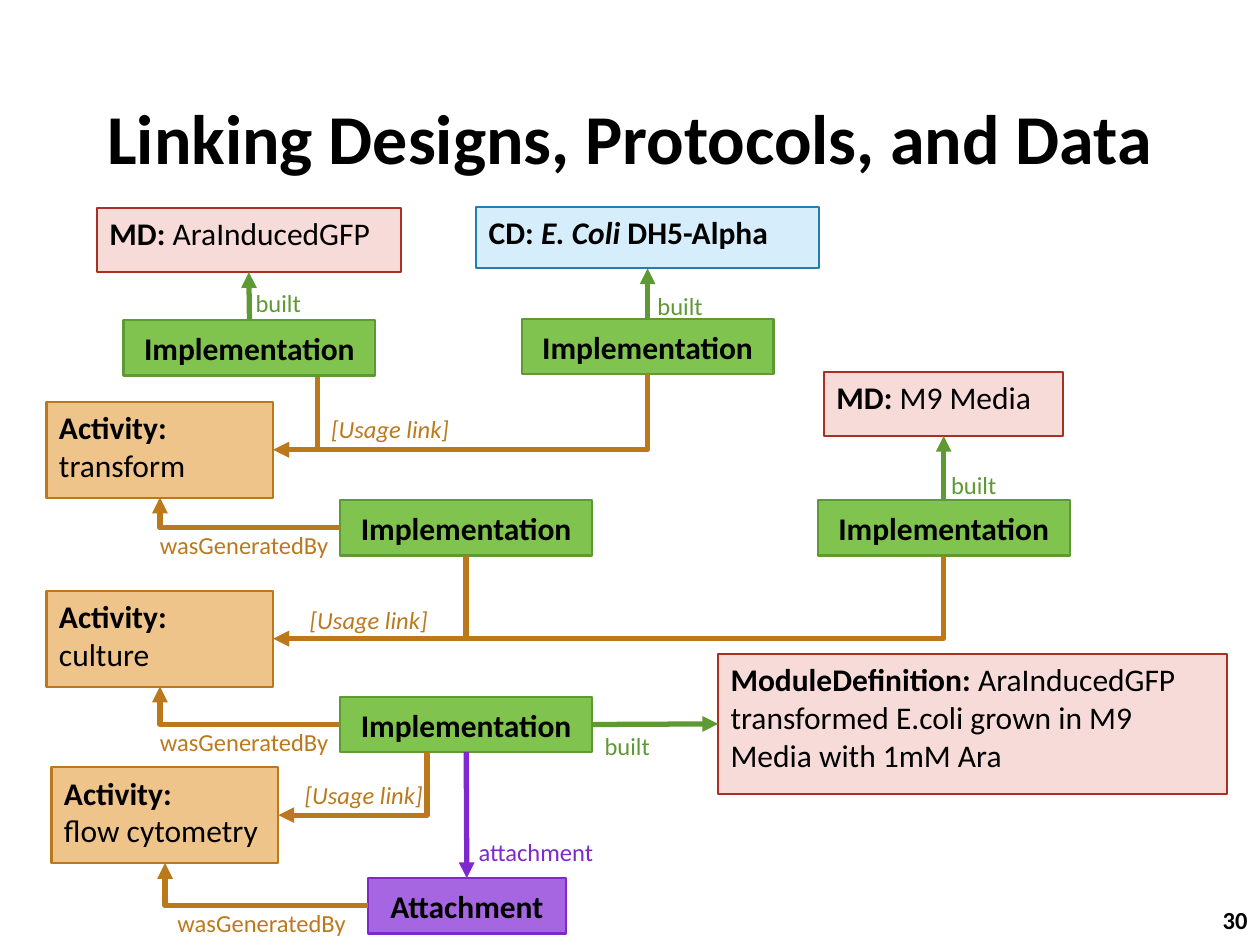
from dataclasses import dataclass

from lxml import etree
from pptx import Presentation
from pptx.dml.color import RGBColor
from pptx.enum.shapes import MSO_CONNECTOR, MSO_SHAPE
from pptx.enum.text import MSO_ANCHOR, PP_ALIGN
from pptx.oxml.ns import qn
from pptx.util import Inches, Pt

RECTANGLE = MSO_SHAPE.RECTANGLE
STRAIGHT, ELBOW = MSO_CONNECTOR.STRAIGHT, MSO_CONNECTOR.ELBOW
TOP_ANCHOR, MIDDLE = MSO_ANCHOR.TOP, MSO_ANCHOR.MIDDLE
LEFT_ALIGN, CENTER, RIGHT_ALIGN = PP_ALIGN.LEFT, PP_ALIGN.CENTER, PP_ALIGN.RIGHT
TOP, LEFT, BOTTOM, RIGHT = range(4)
SLIDE_WIDTH, SLIDE_HEIGHT = Inches(10), Inches(7.5)
COLUMNS = 100
CELL = SLIDE_WIDTH / COLUMNS


@dataclass(frozen=True)
class Theme:
    font = "Calibri"
    ink = "000000"
    module = ("F7DBD8", "A93023")
    component = ("D6EEFB", "247FAF")
    implementation = ("80C34F", "5F9934")
    activity = ("EEC48B", "BC791C")
    attachment = ("A666E1", "7E28CD")
    title_size = 40
    body_size = 18
    label_size = 14
    border = 1.25
    link = 3


THEME = Theme()


def cells(*counts):
    return [round(count * CELL) for count in counts]


def write(frame, paragraphs, size, color=THEME.ink, align=LEFT_ALIGN,
          anchor=TOP_ANCHOR, wrap=True):
    frame.word_wrap = wrap
    frame.vertical_anchor = anchor
    for index, pieces in enumerate(paragraphs):
        paragraph = frame.add_paragraph() if index else frame.paragraphs[0]
        paragraph.alignment = align
        for words, style in pieces:
            run = paragraph.add_run()
            run.text = words
            format_values = {"name": THEME.font, "size": Pt(size),
                             "bold": "b" in style, "italic": "i" in style}
            for attribute, value in format_values.items():
                setattr(run.font, attribute, value)
            run.font.color.rgb = RGBColor.from_string(color)


def add_title(slide, words):
    title = slide.shapes.title
    bounds = dict(zip(("left", "top", "width", "height"),
                      cells(0, 0, COLUMNS, 21.7)))
    for attribute, value in bounds.items():
        setattr(title, attribute, value)
    write(title.text_frame, [[(words, "b")]], THEME.title_size,
          align=CENTER, anchor=MIDDLE)


def add_box(slide, bounds, palette, paragraphs, **layout):
    box = slide.shapes.add_shape(RECTANGLE, *cells(*bounds))
    fill, border = palette
    box.shadow.inherit = False
    box.fill.solid()
    box.fill.fore_color.rgb = RGBColor.from_string(fill)
    box.line.color.rgb = RGBColor.from_string(border)
    box.line.width = Pt(THEME.border)
    write(box.text_frame, paragraphs, THEME.body_size, **layout)
    return box


def add_implementation(slide, column, row):
    return add_box(slide, (column, row, 20, 4.4), THEME.implementation,
                   [[("Implementation", "b")]], align=CENTER, anchor=MIDDLE)


def add_activity(slide, column, row, name):
    return add_box(slide, (column, row, 18, 7.6), THEME.activity,
                   [[("Activity:", "b")], [(name, "")]])


def add_module(slide, bounds, kind, name):
    return add_box(slide, bounds, THEME.module, [[(kind, "b"), (name, "")]])


def add_label(slide, words, column, row, width, palette, style=""):
    label = slide.shapes.add_textbox(*cells(column, row, width, 3.4))
    write(label.text_frame, [[(words, style)]], THEME.label_size,
          palette[1], wrap=False)


def add_link(slide, source, target, palette, bent=False, arrow="tailEnd"):
    link = slide.shapes.add_connector(ELBOW if bent else STRAIGHT, 0, 0, 0, 0)
    link.begin_connect(*source)
    if isinstance(target[0], (int, float)):
        link.end_x, link.end_y = cells(*target)
    else:
        link.end_connect(*target)
    link.line.color.rgb = RGBColor.from_string(palette[1])
    link.line.width = Pt(THEME.link)
    properties = link.element.spPr
    if bent:
        properties.find(qn("a:prstGeom")).set("prst", "bentConnector2")
    etree.SubElement(properties.find(qn("a:ln")), qn(f"a:{arrow}"), type="triangle")
    etree.SubElement(properties, qn("a:effectLst"))


def main():
    deck = Presentation()
    deck.slide_width, deck.slide_height = SLIDE_WIDTH, SLIDE_HEIGHT
    slide = deck.slides.add_slide(deck.slide_layouts[5])
    add_title(slide, "Linking Designs, Protocols, and Data")
    page_number = slide.shapes.add_textbox(*cells(95.3, 71, 4.7, 4))
    write(page_number.text_frame, [[("30", "b")]], THEME.label_size,
          align=RIGHT_ALIGN, anchor=MIDDLE)

    plasmid = add_module(slide, (7.7, 16.5, 24.1, 5.1), "MD: ", "AraInducedGFP")
    media = add_module(slide, (65.4, 29.5, 19, 5.1), "MD: ", "M9 Media")
    sample = add_module(slide, (57, 51.9, 40.4, 11.1), "ModuleDefinition: ",
                        "AraInducedGFP transformed E.coli grown in M9 "
                        "Media with 1mM Ara")
    strain = add_box(slide, (37.8, 16.4, 27.2, 4.9), THEME.component,
                     [[("CD: ", "b"), ("E. Coli ", "bi"), ("DH5-Alpha", "b")]])
    data = add_box(slide, (29.2, 69.7, 15.7, 4.4), THEME.attachment,
                   [[("Attachment", "b")]], align=CENTER, anchor=MIDDLE)

    built_plasmid, built_strain, built_media, transformed, cultured = [
        add_implementation(slide, column, row) for column, row in
        ((9.8, 25.4), (41.4, 25.3), (64.9, 39.7), (27, 39.7), (27, 55.3))]
    transform, culture, cytometry = [
        add_activity(slide, column, row, name) for column, row, name in
        ((3.7, 31.9, "transform"), (3.7, 46.9, "culture"),
         (4.1, 60.9, "flow cytometry"))]

    for implementation, design in ((built_plasmid, plasmid),
                                   (built_strain, strain), (built_media, media)):
        add_link(slide, (implementation, TOP), (design, BOTTOM), THEME.implementation)
    add_link(slide, (cultured, RIGHT), (sample, LEFT), THEME.implementation)
    add_link(slide, (cultured, BOTTOM), (data, TOP), THEME.attachment)

    for activity, used in ((transform, (built_strain, BOTTOM)),
                           (transform, (25.2, 29.9)),
                           (culture, (transformed, BOTTOM)),
                           (culture, (built_media, BOTTOM)),
                           (cytometry, (33.9, 59.7))):
        add_link(slide, (activity, RIGHT), used, THEME.activity,
                 bent=True, arrow="headEnd")
    for product, activity in ((transformed, transform), (cultured, culture),
                              (data, cytometry)):
        add_link(slide, (product, LEFT), (activity, BOTTOM), THEME.activity, bent=True)

    for column, row in ((19.3, 22.4), (51.2, 22.6), (74.5, 36.8), (47, 57.5)):
        add_label(slide, "built", column, row, 5.7, THEME.implementation)
    for column, row in ((25.3, 32.4), (23.6, 47.5), (23.2, 61.4)):
        add_label(slide, "[Usage link]", column, row, 11.6, THEME.activity, "i")
    for column, row in ((11.7, 41.6), (11.7, 57.2), (13.1, 71.6)):
        add_label(slide, "wasGeneratedBy", column, row, 15.9, THEME.activity)
    add_label(slide, "attachment", 37, 65.9, 11.6, THEME.attachment)
    deck.save("out.pptx")


if __name__ == "__main__":
    main()
